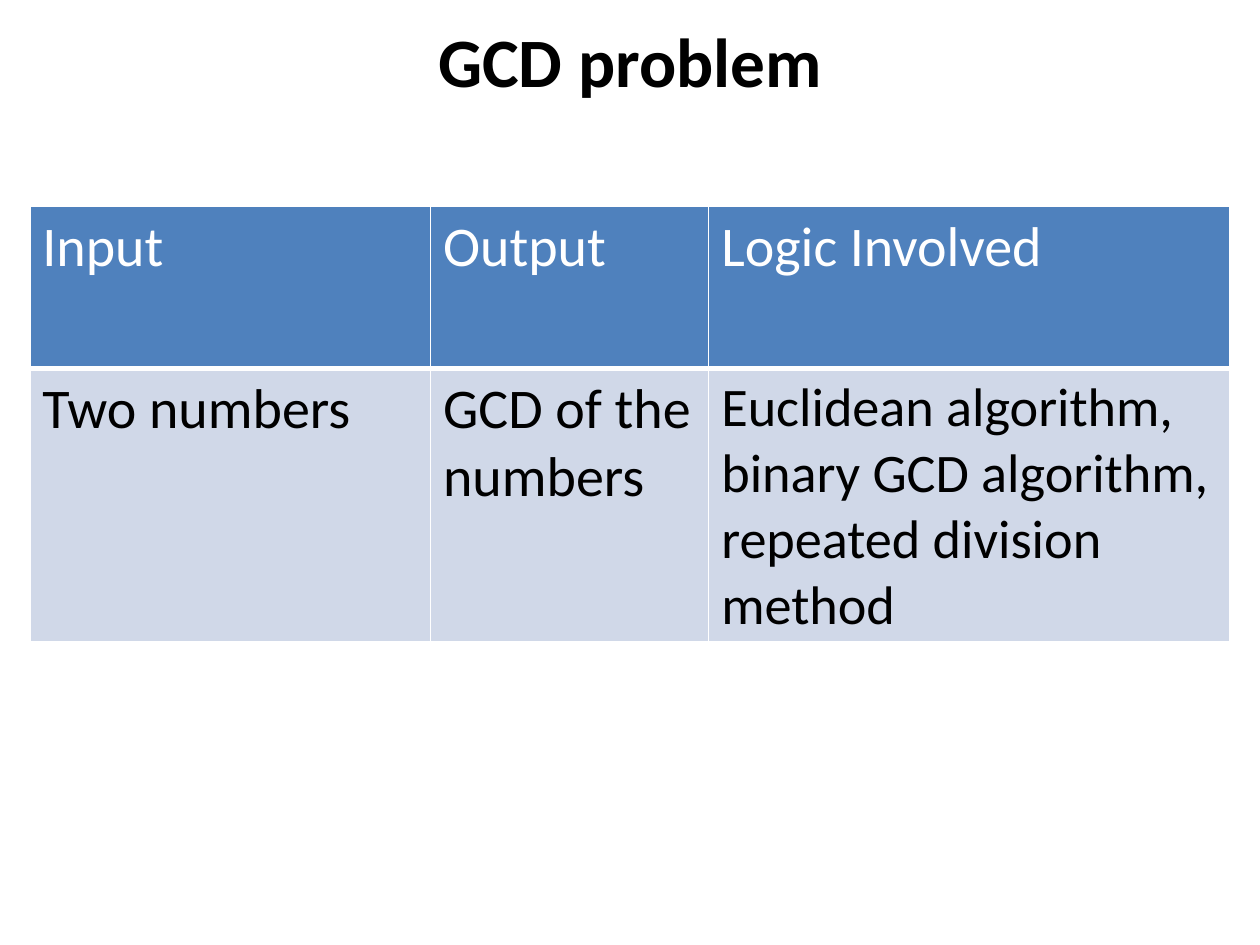
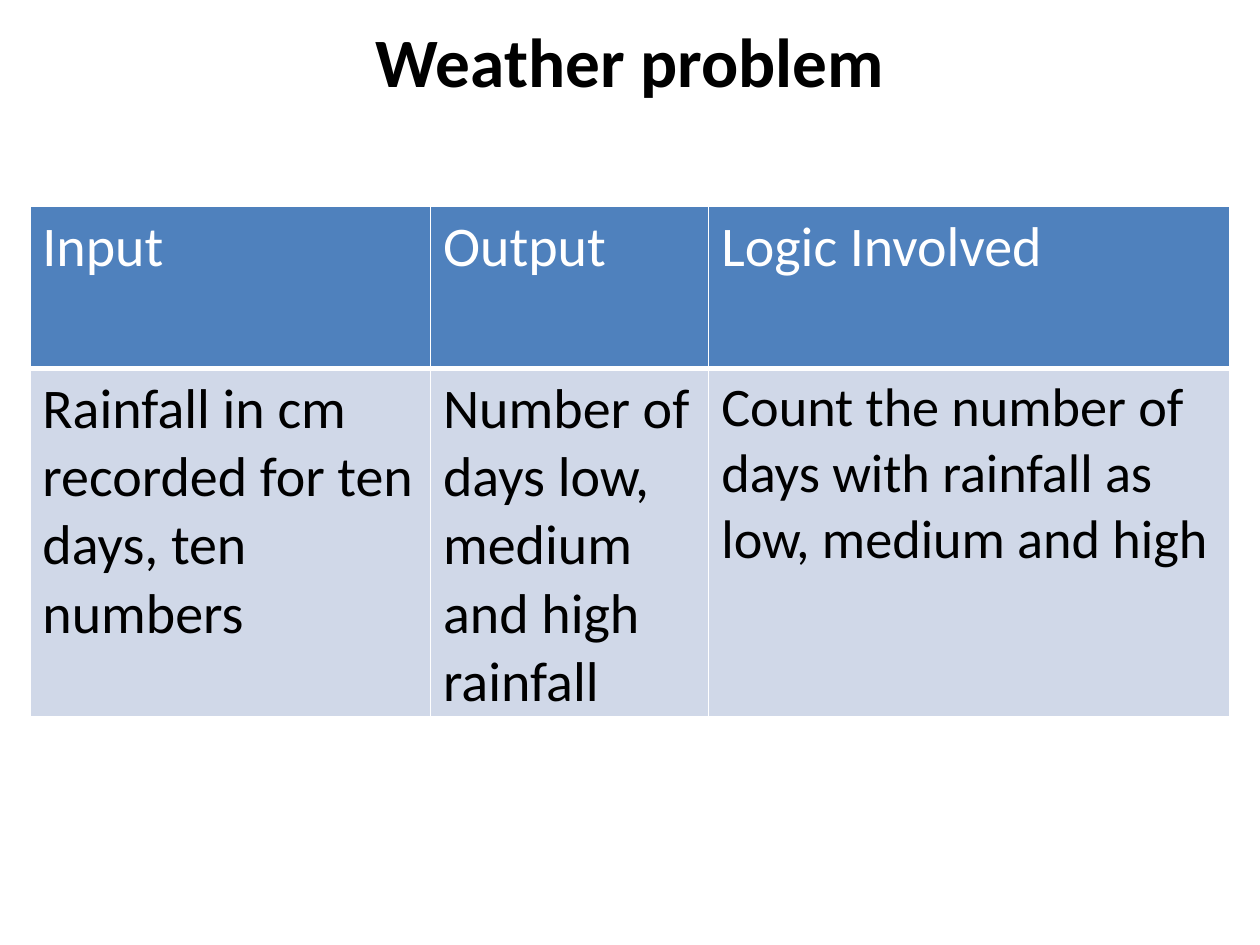
from dataclasses import dataclass

from lxml import etree
from pptx import Presentation
from pptx.dml.color import RGBColor
from pptx.enum.text import MSO_ANCHOR, PP_ALIGN
from pptx.oxml.ns import qn
from pptx.util import Pt

CENTER = PP_ALIGN.CENTER
LEFT = PP_ALIGN.LEFT
MIDDLE = MSO_ANCHOR.MIDDLE


@dataclass(frozen=True)
class Theme:
    font: str = "Calibri"
    black: str = "000000"
    white: str = "FFFFFF"
    header_fill: str = "4F81BD"
    body_fill: str = "D0D8E8"
    title_size: float = 39.6
    cell_size: float = 32
    logic_size: float = 31
    thin_border: float = 1
    header_border: float = 3


@dataclass(frozen=True)
class Problem:
    title: str
    given: str
    result: str
    logic: str
    table_height: float


THEME = Theme()
HEADERS = ("Input", "Output", "Logic Involved")
COLUMN_WIDTHS = (229, 159, 298)
ROW_HEIGHTS = (92.5, 54)
TABLE_LEFT, TABLE_TOP = 17, 118
PROBLEMS = (
    Problem(
        "GCD problem",
        "Two numbers",
        "GCD of the numbers",
        "Euclidean algorithm, binary GCD algorithm, repeated division method",
        248.5,
    ),
    Problem(
        "Weather problem",
        "Rainfall in cm recorded for ten days, ten numbers",
        "Number of days low, medium and high rainfall",
        "Count the number of days with rainfall as low, medium and high",
        291.5,
    ),
)


def write_text(tf, text: str, *, size: float, color: str,
               bold: bool = False, align=LEFT) -> None:
    p = tf.paragraphs[0]
    p.alignment = align
    r = p.add_run()
    r.text = text
    r.font.name = THEME.font
    r.font.size = Pt(size)
    r.font.bold = bold
    r.font.color.rgb = RGBColor.from_string(color)


def set_borders(cell, bottom: float) -> None:
    tc_pr = cell._tc.get_or_add_tcPr()
    thin = THEME.thin_border
    widths = {"a:lnL": thin, "a:lnR": thin, "a:lnT": thin, "a:lnB": bottom}
    for position, (tag, width) in enumerate(widths.items()):
        ln = etree.Element(qn(tag), w=str(Pt(width)))
        fill = etree.SubElement(ln, qn("a:solidFill"))
        etree.SubElement(fill, qn("a:srgbClr"), val=THEME.white)
        tc_pr.insert(position, ln)


def fill_cell(cell, text: str, *, fill: str, color: str, size: float,
              bottom: float) -> None:
    cell.fill.solid()
    cell.fill.fore_color.rgb = RGBColor.from_string(fill)
    set_borders(cell, bottom)
    write_text(cell.text_frame, text, size=size, color=color)


def add_title(s, text: str) -> None:
    sp = s.shapes.add_textbox(Pt(36), Pt(6), Pt(648), Pt(56))
    tf = sp.text_frame
    tf.word_wrap = True
    tf.vertical_anchor = MIDDLE
    write_text(tf, text, size=THEME.title_size, color=THEME.black,
               bold=True, align=CENTER)


def add_problem_table(s, problem: Problem) -> None:
    frame = s.shapes.add_table(
        len(ROW_HEIGHTS), len(COLUMN_WIDTHS), Pt(TABLE_LEFT), Pt(TABLE_TOP),
        Pt(sum(COLUMN_WIDTHS)), Pt(problem.table_height))
    table = frame.table
    for column, width in zip(table.columns, COLUMN_WIDTHS):
        column.width = Pt(width)
    for row, height in zip(table.rows, ROW_HEIGHTS):
        row.height = Pt(height)
    frame.height = Pt(problem.table_height)

    for col, header in enumerate(HEADERS):
        fill_cell(table.cell(0, col), header, fill=THEME.header_fill,
                  color=THEME.white, size=THEME.cell_size,
                  bottom=THEME.header_border)
    body = (
        (problem.given, THEME.cell_size),
        (problem.result, THEME.cell_size),
        (problem.logic, THEME.logic_size),
    )
    for col, (text, size) in enumerate(body):
        fill_cell(table.cell(1, col), text, fill=THEME.body_fill,
                  color=THEME.black, size=size, bottom=THEME.thin_border)


def main() -> None:
    prs = Presentation()
    prs.slide_width, prs.slide_height = Pt(720), Pt(540)
    for problem in PROBLEMS:
        s = prs.slides.add_slide(prs.slide_layouts[6])
        add_title(s, problem.title)
        add_problem_table(s, problem)
    prs.save("out.pptx")


if __name__ == "__main__":
    main()
